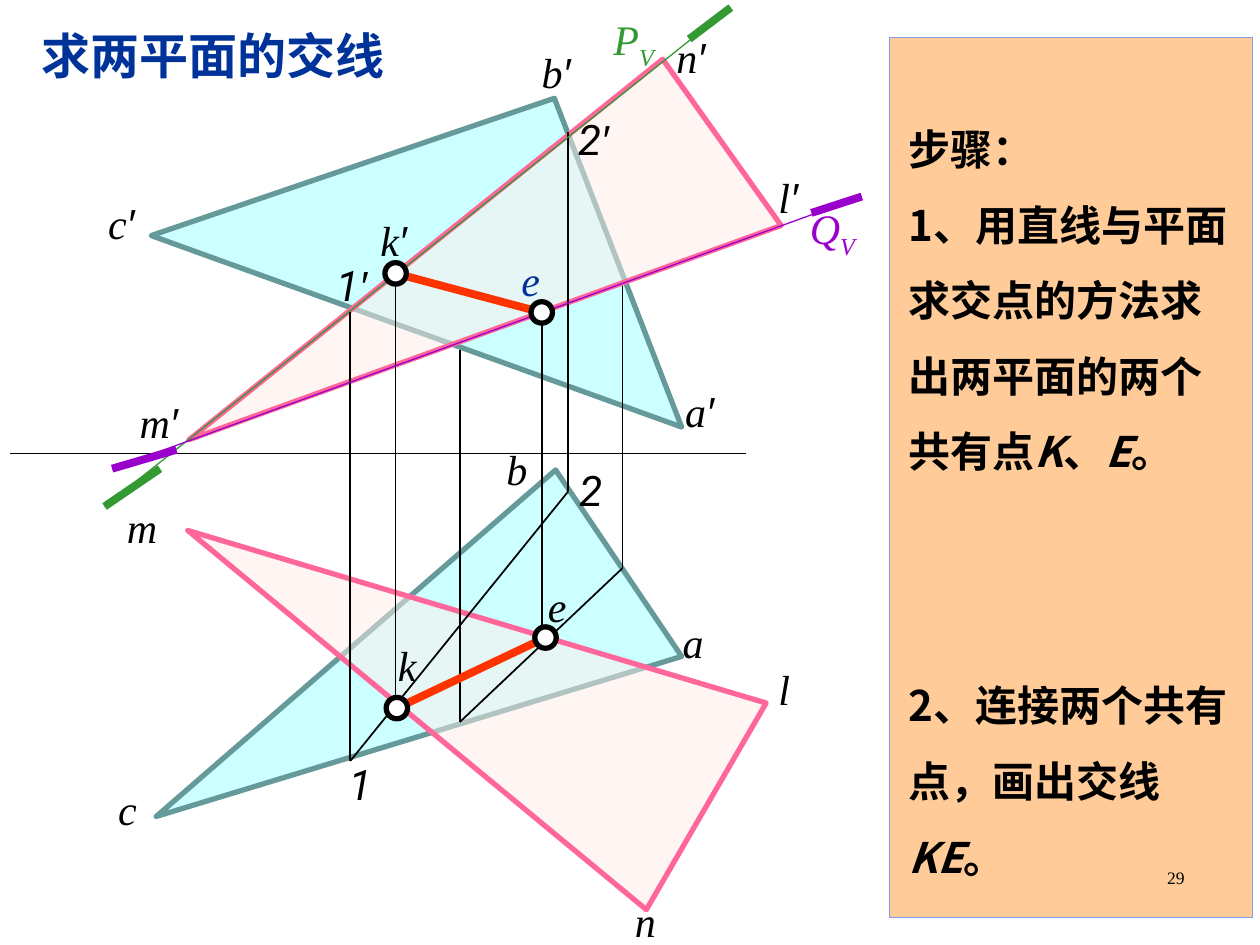
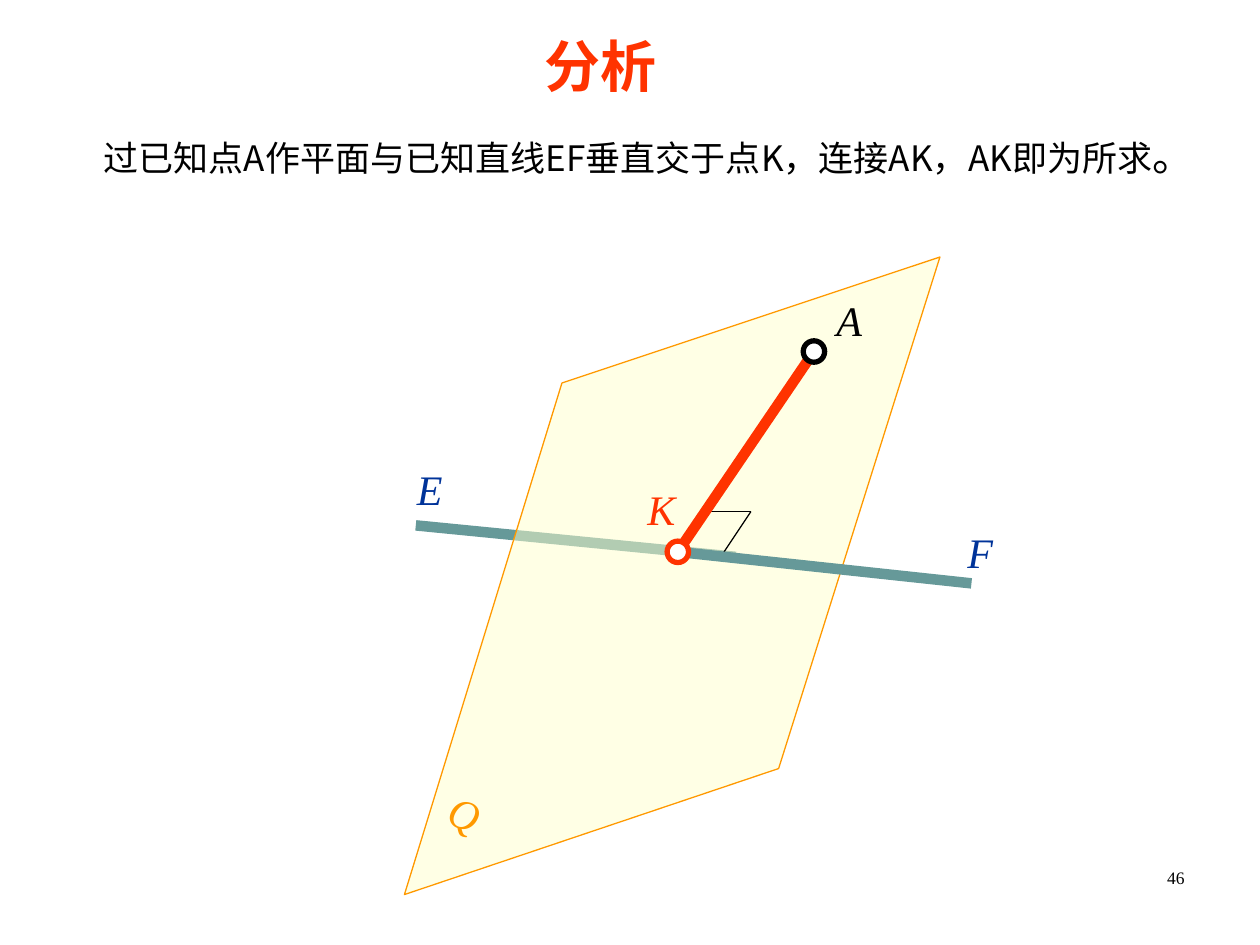
from dataclasses import dataclass

from lxml import etree
from pptx import Presentation
from pptx.dml.color import RGBColor
from pptx.enum.shapes import MSO_CONNECTOR, MSO_SHAPE
from pptx.enum.text import MSO_ANCHOR, MSO_AUTO_SIZE, PP_ALIGN
from pptx.oxml.ns import qn
from pptx.util import Inches, Pt


@dataclass(frozen=True)
class Theme:
    """Colours, fonts and sizes shared by the slides."""
    ink: str = "000000"
    white: str = "FFFFFF"
    navy: str = "003399"
    red: str = "FF3300"
    teal: str = "669999"
    aqua: str = "CCFFFF"
    pink: str = "FF6699"
    blush: str = "FFEFEB"
    green: str = "339933"
    purple: str = "9900CC"
    orange: str = "FF9900"
    cream: str = "FFFFCC"
    panel: str = "FFCC99"
    panel_edge: str = "7E9CE8"
    serif: str = "Times New Roman"
    sans: str = "Arial"
    digit: str = "Roboto"
    chinese: str = "Noto Sans CJK SC"
    label_size: int = 24
    sentence_size: int = 20
    number_size: int = 10
    hair: float = 0.75
    thin: float = 1
    edge: float = 3
    bold_line: float = 4.5
    heavy: float = 6


@dataclass(frozen=True)
class Box:
    """A rectangle in inches."""
    left: float
    top: float
    width: float
    height: float

    def inches(self):
        """Return the four sides as lengths."""
        return [Inches(side) for side in (self.left, self.top, self.width, self.height)]


THEME = Theme()


def add_span(para, text, size, font, color, bold=False, italic=False, baseline=0):
    """Add one formatted run to a paragraph."""
    span = para.add_run()
    span.text = text
    span.font.size = Pt(size)
    span.font.name = font
    span.font.bold = bold
    span.font.italic = italic
    span.font.color.rgb = RGBColor.from_string(color)
    properties = span._r.get_or_add_rPr()
    if font == THEME.chinese:
        etree.SubElement(properties, qn("a:ea"), typeface=font)
    if baseline:
        properties.set("baseline", str(baseline * 1000))


def place_frame(shape, box):
    """Move a placeholder to a box and make its text start at the top."""
    shape.left, shape.top, shape.width, shape.height = box.inches()
    frame = shape.text_frame
    frame.word_wrap = True
    frame.auto_size = MSO_AUTO_SIZE.NONE
    frame.vertical_anchor = MSO_ANCHOR.TOP
    return frame


def plain_paragraph(para, align=PP_ALIGN.LEFT, before=0, spacing=1.0):
    """Set paragraph spacing and remove the bullet and its indent."""
    para.alignment = align
    para.space_before = Pt(before)
    para.line_spacing = spacing
    properties = para._p.get_or_add_pPr()
    properties.set("marL", "0")
    properties.set("indent", "0")
    etree.SubElement(properties, qn("a:buNone"))


def add_title(page, text, box, size, color):
    """Fill the title placeholder."""
    para = place_frame(page.shapes.title, box).paragraphs[0]
    plain_paragraph(para)
    add_span(para, text, size, THEME.sans, color, bold=True)


def add_page_number(page, number):
    """Write the page number at the lower right."""
    box = page.shapes.add_textbox(*Box(7.17, 6.83, 2.33, 0.5).inches())
    box.text_frame.word_wrap = True
    para = box.text_frame.paragraphs[0]
    para.alignment = PP_ALIGN.RIGHT
    add_span(para, str(number), THEME.number_size, THEME.serif, THEME.ink)


class Sketch:
    """Draws geometry on a page relative to the box it is given."""

    def __init__(self, page, box):
        """Keep the page and the region."""
        self.shapes = page.shapes
        self.box = box

    def at(self, point):
        """Turn a point of the region into slide lengths."""
        return Inches(self.box.left + point[0]), Inches(self.box.top + point[1])

    def line(self, start, end, color=THEME.ink, width=THEME.thin):
        """Draw a straight segment."""
        segment = self.shapes.add_connector(
            MSO_CONNECTOR.STRAIGHT, *self.at(start), *self.at(end))
        segment.line.color.rgb = RGBColor.from_string(color)
        segment.line.width = Pt(width)
        etree.SubElement(segment._element.spPr, qn("a:effectLst"))

    def plane(self, corners, fill, color, width=THEME.edge, opacity=100):
        """Draw a closed polygon."""
        start, *others = [self.at(corner) for corner in corners]
        builder = self.shapes.build_freeform(*start)
        builder.add_line_segments(others, close=True)
        self.paint(builder.convert_to_shape(), fill, color, width, opacity)

    def point(self, center, color=THEME.ink, size=0.17):
        """Draw a ring around a point."""
        corner = self.at((center[0] - size / 2, center[1] - size / 2))
        ring = self.shapes.add_shape(
            MSO_SHAPE.OVAL, *corner, Inches(size), Inches(size))
        self.paint(ring, THEME.white, color, THEME.edge)

    def paint(self, shape, fill, color, width, opacity=100):
        """Set fill and outline."""
        shape.shadow.inherit = False
        shape.fill.solid()
        shape.fill.fore_color.rgb = RGBColor.from_string(fill)
        shape.line.color.rgb = RGBColor.from_string(color)
        shape.line.width = Pt(width)
        etree.SubElement(shape.line._get_or_add_ln(), qn("a:round"))
        if opacity < 100:
            tone = shape._element.spPr.find(qn("a:solidFill"))[0]
            etree.SubElement(tone, qn("a:alpha"), val=str(opacity * 1000))

    def label(self, text, corner, color=THEME.ink, subscript="", width=0.83, rotation=0):
        """Write an italic point name, with its prime or subscript."""
        box = self.shapes.add_textbox(*self.at(corner), Inches(width), Inches(0.5))
        box.rotation = rotation
        box.text_frame.word_wrap = True
        para = box.text_frame.paragraphs[0]
        name = text.rstrip("′")
        font = THEME.digit if name.isdigit() else THEME.serif
        add_span(para, name, THEME.label_size, font, color, italic=True)
        if name != text:
            add_span(para, "′", THEME.label_size, THEME.sans, color, italic=True)
        if subscript:
            add_span(para, subscript, THEME.label_size, font, color,
                     italic=True, baseline=-25)


def draw_projections(page, box):
    """Draw both views of the two intersecting planes."""
    sketch = Sketch(page, box)
    sketch.line((0.08, 3.6), (5.92, 3.6), width=THEME.hair)
    for triangle in (((1.24, 6.48), (4.41, 3.73), (5.41, 5.21)),
                     ((1.2, 1.87), (4.4, 0.78), (5.41, 3.39))):
        sketch.plane(triangle, THEME.aqua, THEME.teal)
    for triangle in (((1.49, 4.21), (6.08, 5.58), (5.13, 7.22)),
                     ((5.26, 0.47), (1.5, 3.49), (6.2, 1.79))):
        sketch.plane(triangle, THEME.blush, THEME.pink, opacity=50)

    k_front, k_top = (3.14, 2.17), (3.15, 5.62)
    e_front, e_top = (4.3, 2.48), (4.33, 5.06)
    one_top, two_top = (2.78, 6.04), (4.51, 3.9)
    three_top, four_top = (3.65, 5.73), (4.94, 4.51)
    sketch.line(one_top, two_top)
    sketch.line(three_top, four_top)
    for x, front, top in ((4.94, 2.27, 4.51), (3.65, 2.78, 5.73), (4.51, 1.05, 3.9),
                          (2.78, 2.48, 6.04), (4.3, 2.48, 5.02)):
        sketch.line((x, front), (x, top))
    sketch.line(k_front, (3.14, 5.62), width=THEME.hair)
    for start, end in ((k_front, e_front), (k_top, e_top)):
        sketch.line(start, end, THEME.red, THEME.bold_line)

    for color, start, start_mark, end_mark, end in (
            (THEME.green, (0.83, 4.02), (1.27, 3.72), (5.47, 0.31), (5.8, 0.06)),
            (THEME.purple, (0.89, 3.72), (1.4, 3.57), (6.44, 1.69), (6.84, 1.56))):
        sketch.line(start, end, color, THEME.hair)
        sketch.line(start, start_mark, color, THEME.bold_line)
        sketch.line(end_mark, end, color, THEME.bold_line)
    for center in (k_front, k_top, e_front, e_top):
        sketch.point(center)

    names = {"b": (3.92, 3.47), "a": (5.32, 4.84), "c": (0.84, 6.17),
             "c′": (0.76, 1.52), "b′": (4.2, 0.32), "a′": (5.34, 3.01),
             "l": (6.08, 5.22), "l′": (6.08, 1.31), "n": (4.94, 7.06),
             "m": (0.91, 3.93), "m′": (1.01, 3.1), "n′": (5.27, 0.2),
             "1′": (2.57, 2.01), "2′": (4.49, 0.85), "2": (4.5, 3.64),
             "1": (2.67, 5.97), "k′": (2.92, 1.65), "k": (3.06, 5.03),
             "e": (4.25, 4.56)}
    for name, corner in names.items():
        sketch.label(name, corner)
    sketch.label("e", (4.04, 1.97), THEME.navy)
    sketch.label("P", (4.77, 0.06), THEME.green, subscript="V")
    sketch.label("Q", (6.33, 1.56), THEME.purple, subscript="V")


def fill_steps(page, box):
    """Write the solution steps in the coloured side panel."""
    body = page.placeholders[1]
    frame = place_frame(body, box)
    body.fill.solid()
    body.fill.fore_color.rgb = RGBColor.from_string(THEME.panel)
    body.line.color.rgb = RGBColor.from_string(THEME.panel_edge)
    body.line.width = Pt(THEME.hair)
    frame.margin_left, frame.margin_right = Inches(0.15), Inches(0.09)
    frame.margin_top = Inches(0.48)
    steps = ((0, ("步骤：",)),
             (0, ("1、用直线与平面求交点的方法求出两平面的两个共有点", "K", "、", "E", "。")),
             (102, ("2、连接两个共有点，画出交线", "KE", "。")))
    for index, (before, pieces) in enumerate(steps):
        para = frame.add_paragraph() if index else frame.paragraphs[0]
        plain_paragraph(para, before=before, spacing=1.5)
        for piece in pieces:
            add_span(para, piece, THEME.label_size, THEME.chinese, THEME.ink,
                     bold=True, italic=piece.isascii())


def draw_perpendicular(page, box):
    """Draw plane Q, line EF and the perpendicular AK."""
    sketch = Sketch(page, box)
    foot, apex = (2.18, 2.38), (3.26, 0.79)
    sketch.line((0.1, 2.17), (2.64, 2.42), THEME.teal, THEME.heavy)
    sketch.plane(((4.26, 0.04), (1.26, 1.04), (0.01, 5.1), (2.98, 4.1)),
                 THEME.cream, THEME.orange, THEME.hair, opacity=50)
    sketch.line((2.39, 2.06), (2.76, 2.06), width=THEME.hair)
    sketch.line((2.76, 2.06), (2.54, 2.39), width=THEME.hair)
    sketch.line(foot, apex, THEME.red, THEME.heavy)
    sketch.line(foot, (4.51, 2.63), THEME.teal, THEME.heavy)
    sketch.point(apex)
    sketch.point(foot, THEME.red)
    for name, corner, color in (("E", (0.01, 1.63), THEME.navy),
                                ("F", (4.38, 2.13), THEME.navy),
                                ("A", (3.34, 0.29), THEME.ink),
                                ("K", (1.84, 1.79), THEME.red)):
        sketch.label(name, corner, color)
    sketch.label("Q", (0.27, 4.2), THEME.orange, width=0.44, rotation=19.8)


def fill_sentence(page, box):
    """Write the centred analysis sentence."""
    para = place_frame(page.placeholders[1], box).paragraphs[0]
    plain_paragraph(para, PP_ALIGN.CENTER)
    add_span(para, "过已知点A作平面与已知直线EF垂直交于点K，连接AK，AK即为所求",
             THEME.sentence_size, THEME.chinese, THEME.ink)
    add_span(para, "。", THEME.label_size, THEME.chinese, THEME.ink)


def build_intersection_slide(deck):
    """Build the slide on the intersection of two planes."""
    page = deck.slides.add_slide(deck.slide_layouts[1])
    add_title(page, "求两平面的交线", Box(0.23, 0.15, 3.2, 0.57), 28, THEME.navy)
    fill_steps(page, Box(7.06, 0.3, 2.88, 6.98))
    draw_projections(page, Box(0, 0, 7, 7.5))
    add_page_number(page, 29)


def build_analysis_slide(deck):
    """Build the slide that analyses the perpendicular."""
    page = deck.slides.add_slide(deck.slide_layouts[1])
    add_title(page, "分析", Box(4.22, 0.2, 1.3, 0.64), 32, THEME.red)
    fill_sentence(page, Box(0.3, 0.98, 9.7, 0.5))
    draw_perpendicular(page, Box(3.2, 2, 4.8, 5.2))
    add_page_number(page, 46)


def main():
    """Build and save the deck."""
    deck = Presentation()
    deck.slide_width, deck.slide_height = Inches(10), Inches(7.5)
    build_intersection_slide(deck)
    build_analysis_slide(deck)
    deck.save("out.pptx")


if __name__ == "__main__":
    main()
